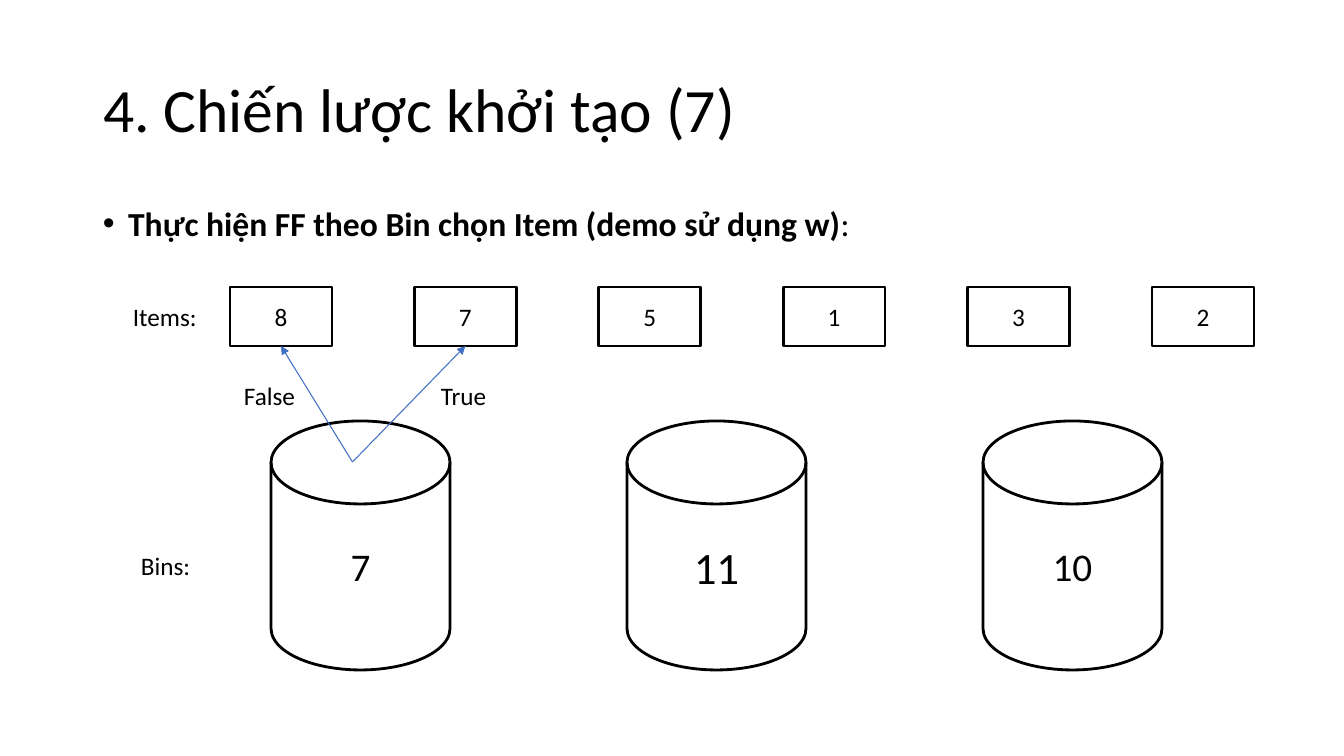
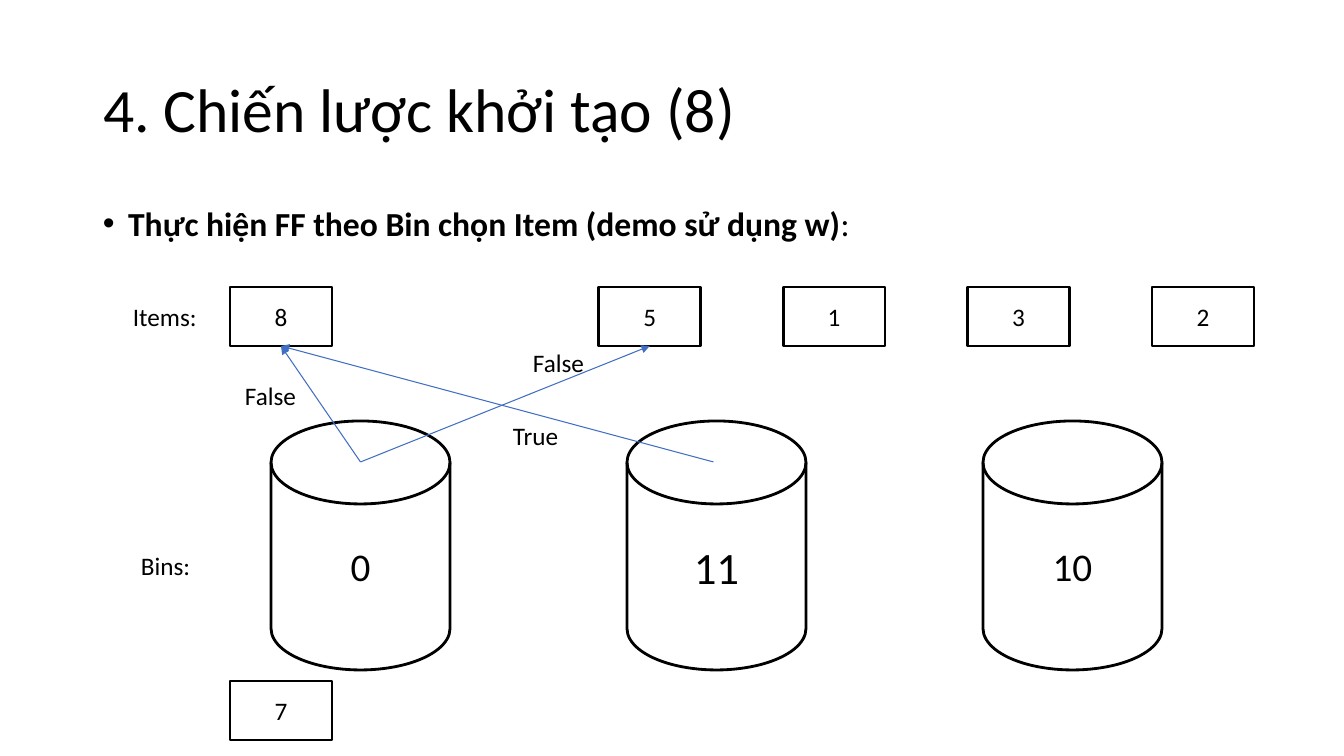
from dataclasses import dataclass

from lxml.etree import SubElement
from pptx import Presentation
from pptx.dml.color import RGBColor as RGB
from pptx.enum.shapes import MSO_CONNECTOR as CONN, MSO_SHAPE as SHAPE
from pptx.enum.text import MSO_ANCHOR as ANCHOR, MSO_AUTO_SIZE as FIT, PP_ALIGN as ALIGN
from pptx.oxml.ns import qn
from pptx.util import Emu, Pt


@dataclass(frozen=True)
class Theme:
    """Colours, font, type sizes and line widths."""
    ink: RGB = RGB(0, 0, 0)
    paper: RGB = RGB(255, 255, 255)
    arrow: RGB = RGB(0x3F, 0x6E, 0xC2)
    font: str = "Calibri"
    title: int = 44
    lead: int = 24
    text: int = 18
    bin: int = 28
    big_bin: int = 32
    outline: float = 2
    thin: float = 0.75


T = Theme()
PX = 914400 / 100.8
TITLE = (93, 40, 1159, 146)
LEAD = (93, 202, 1159, 480)
ITEMS = (230, 287, 1024, 59)
BINS = (271, 421, 891, 249)
ITEM_W, BIN_W, BIN_MOUTH = 102, 179, 41


def emu(*lengths):
    """Turn pixel lengths into EMU."""
    return [Emu(round(n * PX)) for n in lengths]


def apply(obj, **values):
    """Set each named attribute."""
    for name, value in values.items():
        setattr(obj, name, value)


def write(tf, runs, size, align=ALIGN.LEFT, anchor=ANCHOR.TOP, **para):
    """Write one paragraph of (text, bold) runs and return it."""
    apply(tf, word_wrap=True, auto_size=FIT.NONE, vertical_anchor=anchor)
    p = tf.paragraphs[0]
    apply(p, alignment=align, **para)
    for text, bold in runs:
        r = p.add_run()
        r.text = text
        apply(r.font, name=T.font, size=Pt(size), bold=bold)
        r.font.color.rgb = T.ink
    return p


def column(box, count, width, index):
    """Return one of several equally spaced columns in a box."""
    x, y, w, h = box
    return x + index * (w - width) / (count - 1), y, width, h


def add_title(s, box, text):
    """Place and format the title placeholder."""
    sp = s.shapes.title
    apply(sp, **dict(zip(("left", "top", "width", "height"), emu(*box))))
    write(sp.text_frame, [(text, False)], T.title, anchor=ANCHOR.MIDDLE, line_spacing=0.9)


def add_lead(s, box):
    """Add the bulleted lead line."""
    tf = s.shapes.add_textbox(*emu(*box)).text_frame
    runs = [("Thực hiện FF theo Bin chọn Item (demo sử dụng w)", True), (":", False)]
    p = write(tf, runs, T.lead, line_spacing=0.9, space_before=Pt(10))
    pr = p._p.get_or_add_pPr()
    pr.set("marL", "228600")
    pr.set("indent", "-228600")
    SubElement(pr, qn("a:buFont"), typeface="Arial")
    SubElement(pr, qn("a:buChar"), char="•")


def add_label(s, box, text):
    """Add a small left-aligned label."""
    write(s.shapes.add_textbox(*emu(*box)).text_frame, [(text, False)], T.text)


def add_node(s, kind, box, text, size):
    """Add an outlined shape with a centred number."""
    sp = s.shapes.add_shape(kind, *emu(*box))
    sp.shadow.inherit = False
    sp.fill.solid()
    sp.fill.fore_color.rgb = T.paper
    sp.line.color.rgb = T.ink
    sp.line.width = Pt(T.outline)
    write(sp.text_frame, [(text, False)], size, ALIGN.CENTER, ANCHOR.MIDDLE)


def add_items(s, box, values):
    """Add the row of items, leaving a gap for each None."""
    for i, value in enumerate(values):
        if value is not None:
            add_node(s, SHAPE.RECTANGLE, column(box, len(values), ITEM_W, i), value, T.text)


def add_bins(s, box, values):
    """Add the row of bins, with the middle number larger."""
    for i, value in enumerate(values):
        size = T.big_bin if i == 1 else T.bin
        add_node(s, SHAPE.FLOWCHART_MAGNETIC_DISK, column(box, len(values), BIN_W, i), value, size)


def add_arrow(s, bin_no, item_no, nudge):
    """Add an arrow from the mouth of a bin to the foot of an item."""
    bx, by, bw, _ = column(BINS, 3, BIN_W, bin_no)
    ix, iy, iw, ih = column(ITEMS, 6, ITEM_W, item_no)
    ends = emu(bx + bw / 2 + nudge, by + BIN_MOUTH, ix + iw / 2, iy + ih)
    cx = s.shapes.add_connector(CONN.STRAIGHT, *ends)
    cx.line.color.rgb = T.arrow
    cx.line.width = Pt(T.thin)
    SubElement(cx.line._get_or_add_ln(), qn("a:tailEnd"), type="triangle")
    SubElement(cx._element.spPr, qn("a:effectLst"))


def add_demo(prs, number, items, bins, arrows, answers, packed=()):
    """Build one step of the packing demonstration."""
    s = prs.slides.add_slide(prs.slide_layouts[5])
    add_title(s, TITLE, f"4. Chiến lược khởi tạo ({number})")
    add_lead(s, LEAD)
    add_items(s, ITEMS, items)
    for value in packed:
        add_node(s, SHAPE.RECTANGLE, (ITEMS[0], 681, ITEM_W, ITEMS[3]), value, T.text)
    add_bins(s, BINS, bins)
    add_label(s, (123, 296, 99, 40), "Items:")
    add_label(s, (131, 545, 82, 40), "Bins:")
    for arrow in arrows:
        add_arrow(s, *arrow)
    for x, y, text in answers:
        add_label(s, (x, y, 83, 40), text)


prs = Presentation()
prs.slide_width, prs.slide_height = emu(1344, 756)
add_demo(prs, 7, ["8", "7", "5", "1", "3", "2"], ["7", "11", "10"],
         [(0, 0, -8), (0, 1, -8)],
         [(234, 375, "False"), (431, 375, "True")])
add_demo(prs, 8, ["8", None, "5", "1", "3", "2"], ["0", "11", "10"],
         [(0, 0, 0), (0, 2, 0), (1, 0, -3)],
         [(235, 375, "False"), (523, 342, "False"), (503, 415, "True")],
         packed=["7"])
prs.save("out.pptx")
